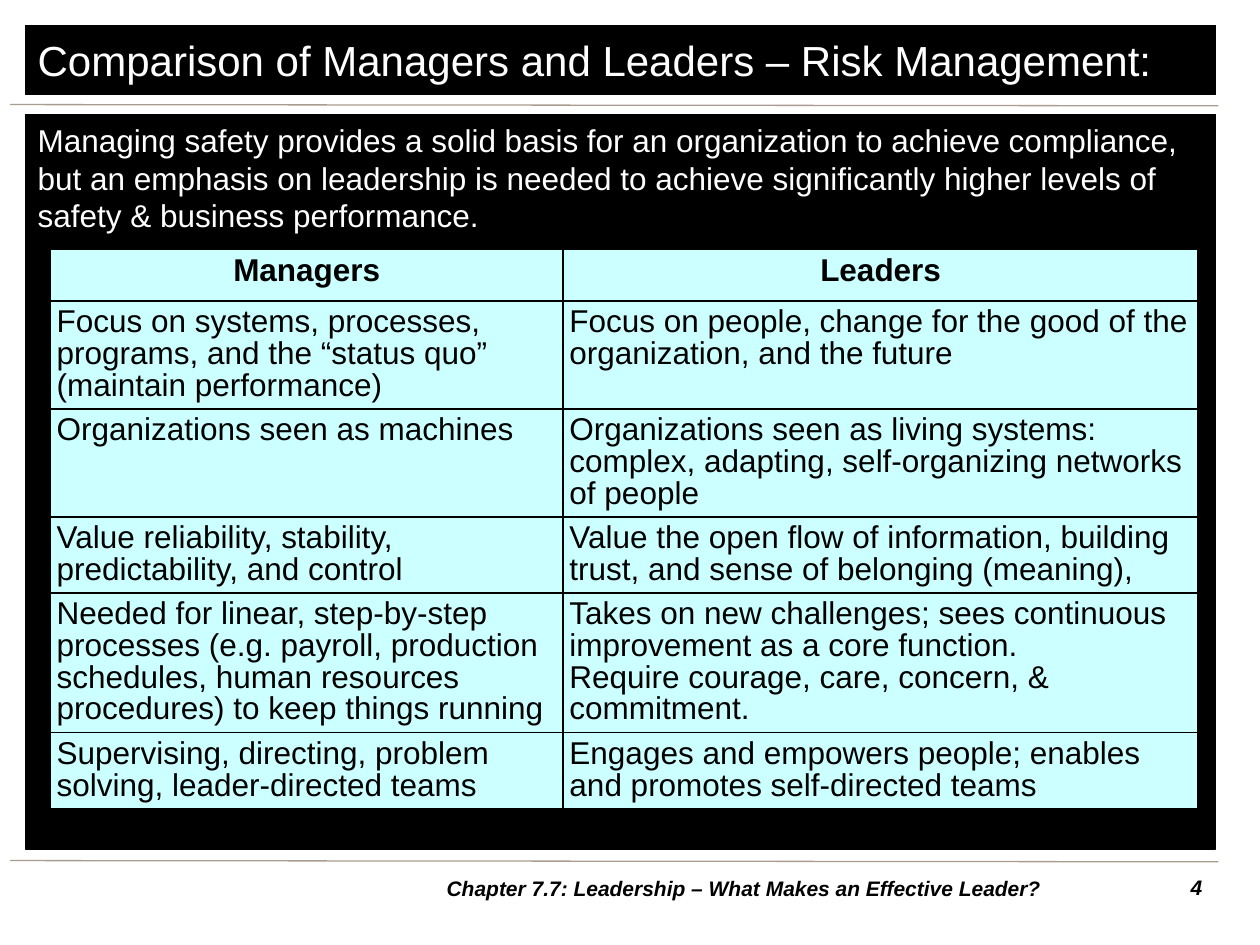
import pptx
import pptx.util
import pptx.dml.color
import pptx.enum.shapes
import pptx.enum.text
import pptx.oxml
import pptx.oxml.ns

RGBColor = pptx.dml.color.RGBColor
BLACK = RGBColor(0x00, 0x00, 0x00)
WHITE = RGBColor(0xFF, 0xFF, 0xFF)
AQUA = RGBColor(0xCC, 0xFF, 0xFF)
TAUPE = RGBColor(0xAA, 0x9C, 0x8F)

align = pptx.enum.text.PP_ALIGN
anchor = pptx.enum.text.MSO_ANCHOR

deck = pptx.Presentation()
deck.slide_width = pptx.util.Inches(10)
deck.slide_height = pptx.util.Inches(7.5)
unit = deck.slide_width // 100
slide = deck.slides.add_slide(deck.slide_layouts[6])
shapes = slide.shapes


def place(*nums):
    return [round(num * unit) for num in nums]


def write(frame, text, size, color, side=align.LEFT, bold=False, slant=False, pitch=None):
    frame.text = text
    frame.word_wrap = True
    for para in frame.paragraphs:
        para.alignment = side
        if pitch:
            para.line_spacing = pitch
        for run in para.runs:
            font = run.font
            font.name = "Arial"
            font.size = pptx.util.Pt(size)
            font.bold = bold
            font.italic = slant
            font.color.rgb = color


for top in (8.3, 68.3):
    rule = shapes.add_connector(
        pptx.enum.shapes.MSO_CONNECTOR.STRAIGHT, *place(0.8, top, 96.7, top + 0.1))
    rule.line.color.rgb = TAUPE
    rule.line.width = pptx.util.Pt(0.75)
    rule._element.spPr.append(pptx.oxml.parse_xml(
        f"<a:effectLst {pptx.oxml.ns.nsdecls('a')}/>"))

panels = [
    (9.1, 58.3, 18, anchor.TOP,
     "Managing safety provides a solid basis for an organization to achieve compliance, "
     "but an emphasis on leadership is needed to achieve significantly higher levels of "
     "safety & business performance."),
    (2, 5.5, 24, anchor.MIDDLE, "Comparison of Managers and Leaders – Risk Management:"),
]
for top, high, size, hold, text in panels:
    panel = shapes.add_shape(
        pptx.enum.shapes.MSO_SHAPE.RECTANGLE, *place(2, top, 94.5, high))
    panel.shadow.inherit = False
    panel.fill.solid()
    panel.fill.fore_color.rgb = BLACK
    panel.line.color.rgb = BLACK
    panel.line.width = pptx.util.Pt(0.75)
    panel.text_frame.vertical_anchor = hold
    write(panel.text_frame, text, size, WHITE)

rows = [
    ("Managers", "Leaders"),
    ("Focus on systems, processes, programs, and the “status quo” (maintain performance)",
     "Focus on people, change for the good of the organization, and the future"),
    ("Organizations seen as machines",
     "Organizations seen as living systems: complex, adapting, self-organizing networks of people"),
    ("Value reliability, stability, predictability, and control",
     "Value the open flow of information, building trust, and sense of belonging (meaning),"),
    ("Needed for linear, step-by-step processes (e.g. payroll, production schedules, "
     "human resources procedures) to keep things running",
     "Takes on new challenges; sees continuous improvement as a core function.\n"
     "Require courage, care, concern, & commitment."),
    ("Supervising, directing, problem solving, leader-directed teams",
     "Engages and empowers people; enables and promotes self-directed teams"),
]
wide = (40.7, 50.4)
deep = 4.1
table = shapes.add_table(
    len(rows), len(wide), *place(4, 19.8, sum(wide), deep * len(rows))).table
for col, share in zip(table.columns, wide):
    col.width = round(share * unit)
for r, texts in enumerate(rows):
    table.rows[r].height = round(deep * unit)
    for c, text in enumerate(texts):
        cell = table.cell(r, c)
        cell.margin_left = cell.margin_right = round(0.5 * unit)
        cell.margin_top = cell.margin_bottom = round(0.5 * unit)
        write(cell.text_frame, text, 18, BLACK,
              align.CENTER if r == 0 else align.LEFT, bold=r == 0, pitch=0.9)
        props = cell._tc.get_or_add_tcPr()
        for edge in ("lnL", "lnR", "lnT", "lnB"):
            props.append(pptx.oxml.parse_xml(
                f'<a:{edge} {pptx.oxml.ns.nsdecls("a")} w="12700"><a:solidFill>'
                f'<a:srgbClr val="{BLACK}"/></a:solidFill></a:{edge}>'))
        cell.fill.solid()
        cell.fill.fore_color.rgb = AQUA

notes = [
    (90.6, 5.8, anchor.TOP, align.RIGHT, "4"),
    (29.5, 59.1, anchor.MIDDLE, align.CENTER,
     "Chapter 7.7: Leadership – What Makes an Effective Leader?"),
]
for left, span, hold, side, text in notes:
    box = shapes.add_textbox(*place(left, 68.9, span, 3.1))
    box.text_frame.vertical_anchor = hold
    write(box.text_frame, text, 12, BLACK, side, bold=True, slant=True)

deck.save("out.pptx")
